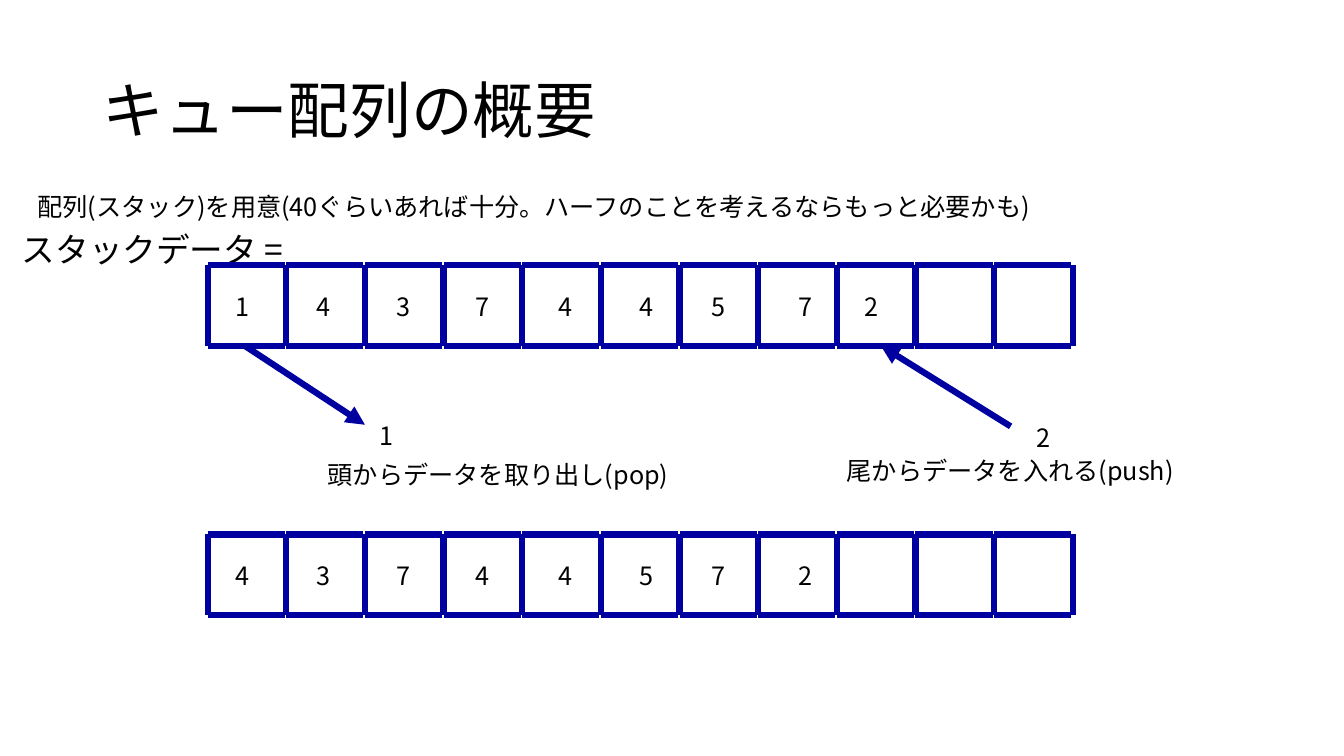
from lxml import etree
from pptx import Presentation
from pptx.dml.color import RGBColor
from pptx.enum.shapes import MSO_CONNECTOR
from pptx.enum.text import MSO_ANCHOR, MSO_AUTO_SIZE, PP_ALIGN
from pptx.oxml.ns import qn
from pptx.util import Inches, Pt

STRAIGHT = MSO_CONNECTOR.STRAIGHT
MIDDLE = MSO_ANCHOR.MIDDLE
GROW, FIXED = MSO_AUTO_SIZE.SHAPE_TO_FIT_TEXT, MSO_AUTO_SIZE.NONE
LEFT = PP_ALIGN.LEFT

NAVY = RGBColor(0x00, 0x00, 0xA0)
BLACK = RGBColor(0x00, 0x00, 0x00)
FONT = "Noto Sans CJK JP"

# Grid: column 0, row 0 is the top left corner of the upper array
GRID_X, GRID_Y = 2.06, 2.63
COL, ROW = 0.78, 0.8
CELLS = 11
SECOND_ROW = 3.34
DIGIT_COLS = (0.23, 1.26, 2.27, 3.28, 4.33, 5.36, 6.28, 7.38, 8.22)
DIGIT_W, LINE_H = 0.49, 0.5


def x(col):
    return Inches(GRID_X + col * COL)


def y(row):
    return Inches(GRID_Y + row * ROW)


def write(tf, text, size):
    p = tf.paragraphs[0]
    p.alignment = LEFT
    r = p.add_run()
    r.text = text
    r.font.size = Pt(size)
    r.font.color.rgb = BLACK
    r.font.name = FONT
    ea = etree.SubElement(r.font._element, qn("a:ea"))
    ea.set("typeface", FONT)
    return p


def add_title(slide, text):
    sp = slide.shapes.title
    sp.left, sp.top = x(-1.46), y(-2.79)
    sp.width, sp.height = Inches(14.74 * COL), Inches(1.81 * ROW)
    tf = sp.text_frame
    tf.auto_size = FIXED
    tf.vertical_anchor = MIDDLE
    write(tf, text, 44).line_spacing = 0.9


def add_label(slide, text, col, row, cols, rows=LINE_H, size=18):
    sp = slide.shapes.add_textbox(x(col), y(row), Inches(cols * COL), Inches(rows * ROW))
    tf = sp.text_frame
    tf.word_wrap = True
    tf.auto_size = GROW
    write(tf, text, size)


def add_line(slide, start, end, arrow=False):
    line = slide.shapes.add_connector(
        STRAIGHT, x(start[0]), y(start[1]), x(end[0]), y(end[1]))
    line.line.color.rgb = NAVY
    line.line.width = Pt(4.5)
    if arrow:
        tail = etree.SubElement(line.line._get_or_add_ln(), qn("a:tailEnd"))
        tail.set("type", "triangle")
    etree.SubElement(line._element.spPr, qn("a:effectLst"))


def add_array(slide, row, digits):
    for col in range(CELLS + 1):
        add_line(slide, (col, row + 1), (col, row))
    for col in range(CELLS):
        for edge in (row, row + 1):
            add_line(slide, (col, edge), (col + 0.98, edge))
    for col, digit in zip(DIGIT_COLS, digits):
        add_label(slide, digit, col, row + 0.26, DIGIT_W)


def main():
    prs = Presentation()
    prs.slide_width, prs.slide_height = Inches(13.33), Inches(7.5)
    slide = prs.slides.add_slide(prs.slide_layouts[5])

    # Heading and introduction
    add_title(slide, "キュー配列の概要")
    add_label(slide, "配列(スタック)を用意(40ぐらいあれば十分。ハーフのことを考えるならもっと必要かも)",
              -2.29, -0.98, 14.74)
    add_label(slide, "スタックデータ =", -2.49, -0.51, 4.09, 1.14, 24)

    # Array before the pop
    add_array(slide, 0, "143744572")

    # Pop from the head
    add_line(slide, (0.47, 1), (2, 1.98), arrow=True)
    add_label(slide, "1", 2.06, 1.86, DIGIT_W)
    add_label(slide, "頭からデータを取り出し(pop)", 1.4, 2.35, 4.87)

    # Push at the tail
    add_line(slide, (10.21, 2), (8.56, 1), arrow=True)
    add_label(slide, "2", 10.41, 1.89, DIGIT_W)
    add_label(slide, "尾からデータを入れる(push)", 8, 2.3, 4.87)

    # Array after the pop
    add_array(slide, SECOND_ROW, "43744572")

    prs.save("out.pptx")


if __name__ == "__main__":
    main()
